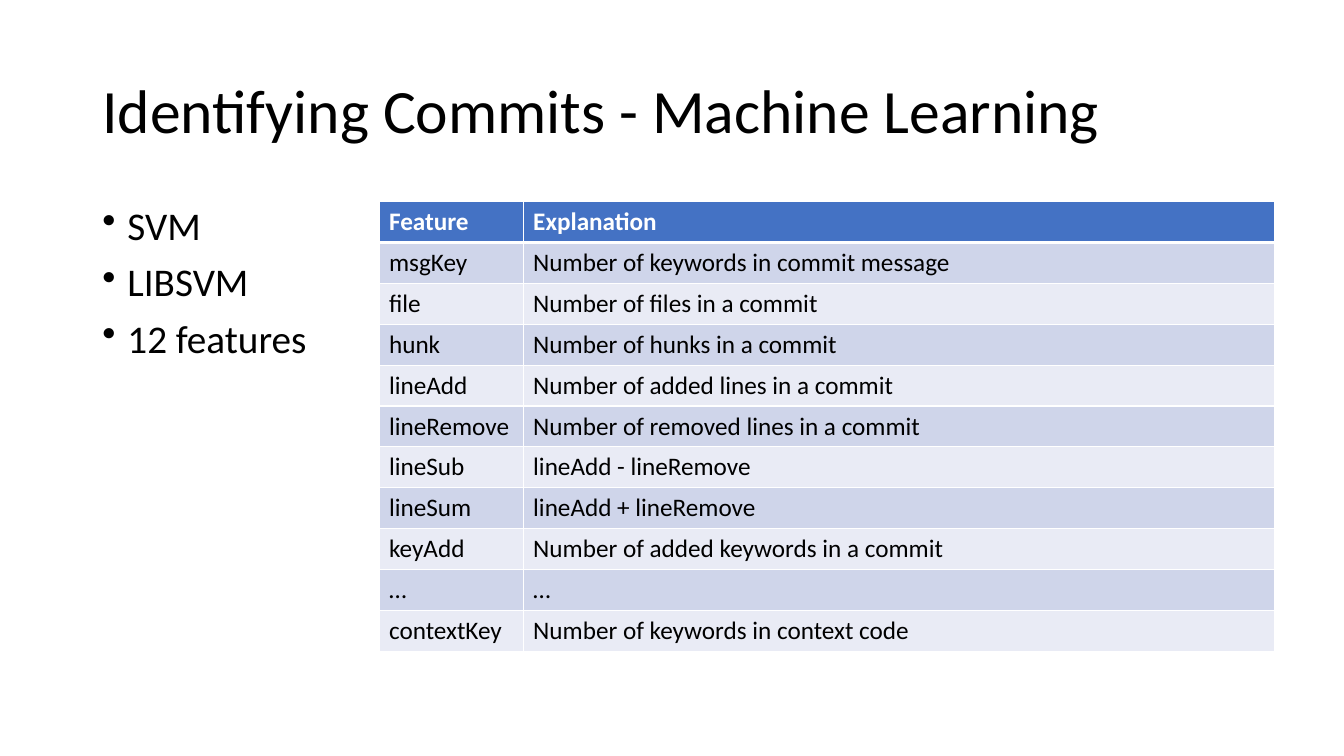
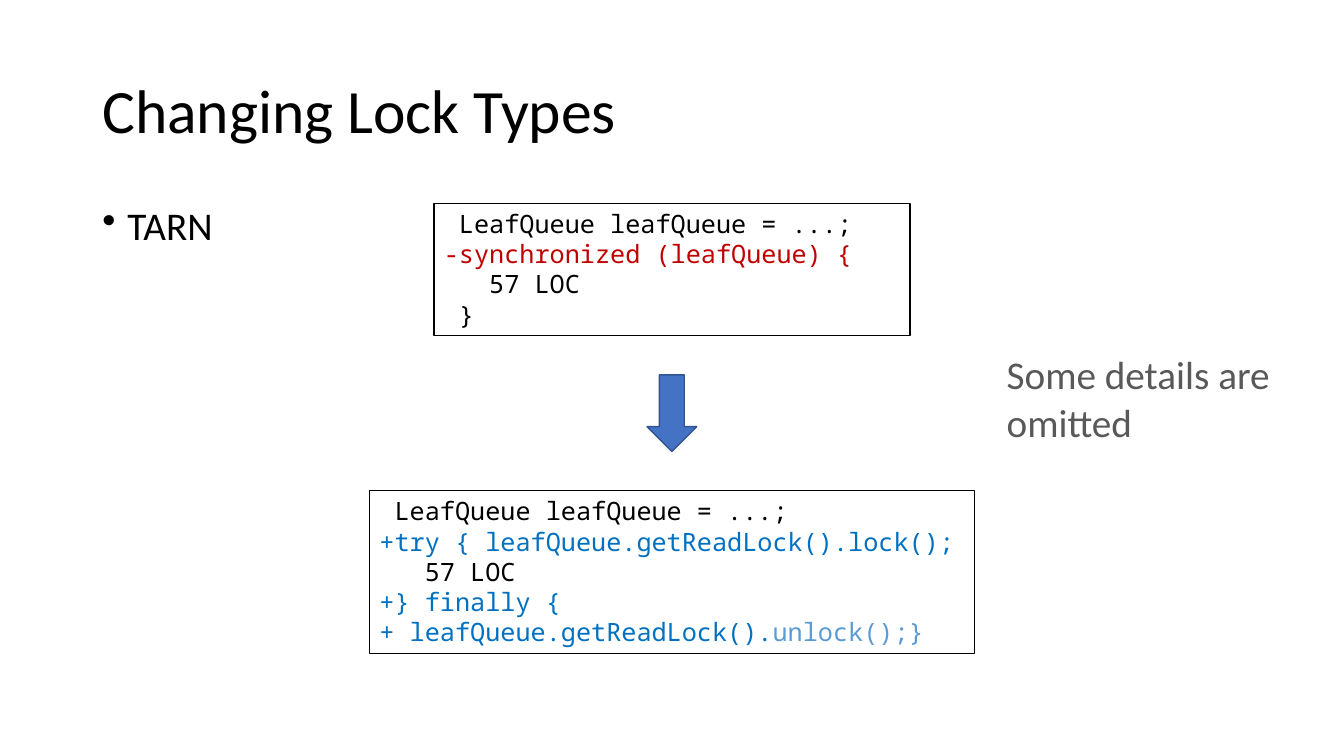
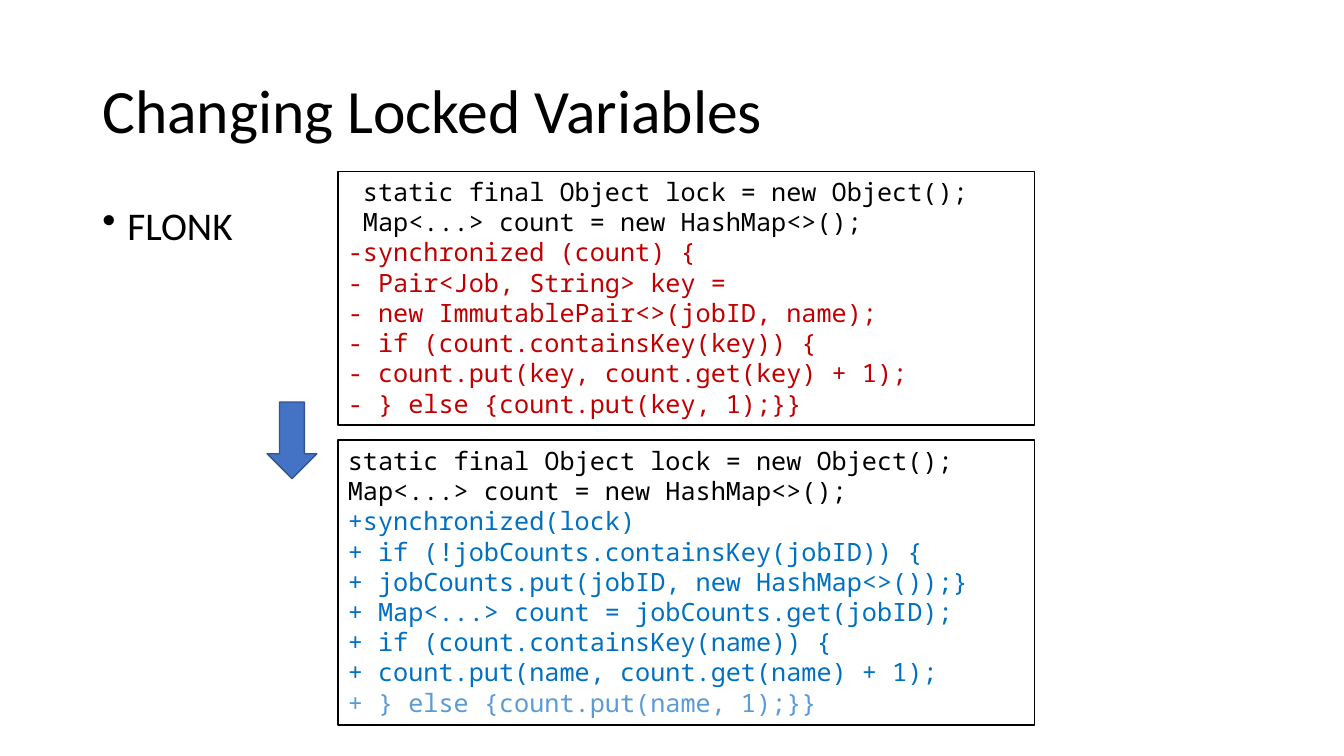
from lxml import etree
from pptx import Presentation
from pptx.dml.color import RGBColor
from pptx.enum import shapes, text
from pptx.oxml import ns
from pptx.util import Pt


def colour(value):
    return RGBColor.from_string(value)


def child(parent, tag, **attributes):
    return etree.SubElement(parent, ns.qn(tag), attributes)


class Slides:
    """Shared style, the deck and the current slide."""
    FONT, CODE_FONT = "Calibri", "Noto Sans Mono"
    BLACK, WHITE, GREY = "000000", "FFFFFF", "595959"
    BLUE, DARK_BLUE = "4472C4", "325491"
    BANDS = ("E9EBF5", "CFD5EA")
    DIFF = {"-": "C00000", "+": "0070C0"}
    PALE = "5B9BD5"
    MARGIN, CONTENT_WIDTH = 66, 828
    CODE_SIZE = 18
    CODE_CHAR = 0.6 * CODE_SIZE

    def __init__(self):
        self.deck = Presentation()
        self.deck.slide_width, self.deck.slide_height = Pt(960), Pt(540)
        self.page = None

    # Pages: title and bullet list
    def new_page(self, title, bullets):
        self.page = self.deck.slides.add_slide(self.deck.slide_layouts[6])
        frame = self.text_box(self.MARGIN, 28.8, self.CONTENT_WIDTH, 104.4)
        frame.vertical_anchor = text.MSO_ANCHOR.MIDDLE
        para = frame.paragraphs[0]
        para.line_spacing = 0.9
        self.span(para, title, 44)

        frame = self.text_box(self.MARGIN, 144, self.CONTENT_WIDTH, 342.7)
        for number, bullet in enumerate(bullets):
            para = self.paragraph(frame, number)
            para.line_spacing, para.space_before = 0.9, Pt(10)
            properties = self.indent(para, 18, -18)
            child(properties, "a:buChar", char="•")
            self.span(para, bullet, 28)

    # Text
    def text_box(self, left, top, width, height):
        box = self.page.shapes.add_textbox(Pt(left), Pt(top), Pt(width), Pt(height))
        box.text_frame.word_wrap = True
        return box.text_frame

    def paragraph(self, frame, number):
        return frame.add_paragraph() if number else frame.paragraphs[0]

    def indent(self, para, margin, first=0):
        properties = para._p.get_or_add_pPr()
        properties.set("marL", str(Pt(margin)))
        properties.set("indent", str(Pt(first)))
        return properties

    def span(self, para, words, size, ink=BLACK, font=FONT, bold=False):
        span = para.add_run()
        span.text = words
        span.font.name, span.font.size, span.font.bold = font, Pt(size), bold
        span.font.color.rgb = colour(ink)

    def remark(self, left, top, width, height, words):
        frame = self.text_box(left, top, width, height)
        self.span(frame.paragraphs[0], words, 28, self.GREY)

    # Shapes
    def shape(self, kind, left, top, width, height, fill, line):
        shape = self.page.shapes.add_shape(kind, Pt(left), Pt(top), Pt(width), Pt(height))
        shape.shadow.inherit = False
        shape.fill.solid()
        shape.fill.fore_color.rgb = colour(fill)
        shape.line.color.rgb = colour(line)
        shape.line.width = Pt(1)
        return shape

    def down_arrow(self, left, top):
        self.shape(shapes.MSO_SHAPE.DOWN_ARROW, left, top, 35.5, 54.7,
                   self.BLUE, self.DARK_BLUE)

    def code(self, left, top, width, height, listing, pale_tail=""):
        """Diff listing of (indent, line); pale_tail ends the last line."""
        box = self.shape(shapes.MSO_SHAPE.RECTANGLE, left, top, width, height,
                         self.WHITE, self.BLACK)
        frame = box.text_frame
        frame.word_wrap = True
        frame.vertical_anchor = text.MSO_ANCHOR.TOP
        for number, (columns, line) in enumerate(listing):
            para = self.paragraph(frame, number)
            para.alignment = text.PP_ALIGN.LEFT
            self.indent(para, columns * self.CODE_CHAR)
            tail = pale_tail if number == len(listing) - 1 else ""
            ink = self.DIFF.get(line[0], self.BLACK)
            for words, shade in ((line.removesuffix(tail), ink), (tail, self.PALE)):
                if words:
                    self.span(para, words, self.CODE_SIZE, shade, self.CODE_FONT)

    # Table
    def table(self, left, top, widths, row_height, rows):
        table = self.page.shapes.add_table(
            len(rows), len(widths), Pt(left), Pt(top),
            Pt(sum(widths)), Pt(row_height * len(rows))).table
        table.horz_banding = False
        for column, width in zip(table.columns, widths):
            column.width = Pt(width)
        for number, row in enumerate(rows):
            table.rows[number].height = Pt(row_height)
            header = number == 0
            for column, words in enumerate(row):
                cell = table.cell(number, column)
                self.borders(cell, 3 if number == 1 else 1, 3 if header else 1)
                cell.fill.solid()
                cell.fill.fore_color.rgb = colour(
                    self.BLUE if header else self.BANDS[number % 2])
                self.span(cell.text_frame.paragraphs[0], words, 18,
                          self.WHITE if header else self.BLACK, bold=header)

    def borders(self, cell, top, bottom):
        properties = cell._tc.get_or_add_tcPr()
        for side, width in (("L", 1), ("R", 1), ("T", top), ("B", bottom)):
            line = child(properties, "a:ln" + side, w=str(Pt(width)))
            child(child(line, "a:solidFill"), "a:srgbClr", val=self.WHITE)


slides = Slides()

# Features used for learning
slides.new_page("Identifying Commits - Machine Learning",
                ["SVM", "LIBSVM", "12 features"])
slides.table(270.7, 144, (103, 537), 29.2, [
    ("Feature", "Explanation"),
    ("msgKey", "Number of keywords in commit message"),
    ("file", "Number of files in a commit"),
    ("hunk", "Number of hunks in a commit"),
    ("lineAdd", "Number of added lines in a commit"),
    ("lineRemove", "Number of removed lines in a commit"),
    ("lineSub", "lineAdd - lineRemove"),
    ("lineSum", "lineAdd + lineRemove"),
    ("keyAdd", "Number of added keywords in a commit"),
    ("…", "…"),
    ("contextKey", "Number of keywords in context code"),
])

# Lock types
slides.new_page("Changing Lock Types", ["TARN"])
slides.code(310, 145.2, 340, 94.3, [
    (1, "LeafQueue leafQueue = ...;"),
    (0, "-synchronized (leafQueue) {"),
    (3, "57 LOC"),
    (1, "}"),
])
slides.code(264, 350.6, 432, 116.4, [
    (1, "LeafQueue leafQueue = ...;"),
    (0, "+try { leafQueue.getReadLock().lock();"),
    (3, "57 LOC"),
    (0, "+} finally {"),
    (0, "+ leafQueue.getReadLock().unlock();}"),
], pale_tail="unlock();}")
slides.down_arrow(462.2, 267.8)
slides.remark(712, 247, 219, 75, "Some details are omitted")

# Locked variables
slides.new_page("Changing Locked Variables", ["FLONK"])
slides.code(241.4, 122.3, 497.5, 181.4, [
    (1, "static final Object lock = new Object();"),
    (1, "Map<...> count = new HashMap<>();"),
    (0, "-synchronized (count) {"),
    (0, "- Pair<Job, String> key ="),
    (0, "- new ImmutablePair<>(jobID, name);"),
    (0, "- if (count.containsKey(key)) {"),
    (0, "- count.put(key, count.get(key) + 1);"),
    (0, "- } else {count.put(key, 1);}}"),
])
slides.code(241.4, 314.4, 497.5, 203.5, [
    (0, "static final Object lock = new Object();"),
    (0, "Map<...> count = new HashMap<>();"),
    (0, "+synchronized(lock)"),
    (0, "+ if (!jobCounts.containsKey(jobID)) {"),
    (0, "+ jobCounts.put(jobID, new HashMap<>());}"),
    (0, "+ Map<...> count = jobCounts.get(jobID);"),
    (0, "+ if (count.containsKey(name)) {"),
    (0, "+ count.put(name, count.get(name) + 1);"),
    (0, "+ } else {count.put(name, 1);}}"),
], pale_tail="+ } else {count.put(name, 1);}}")
slides.down_arrow(190.8, 287.2)

slides.deck.save("out.pptx")
